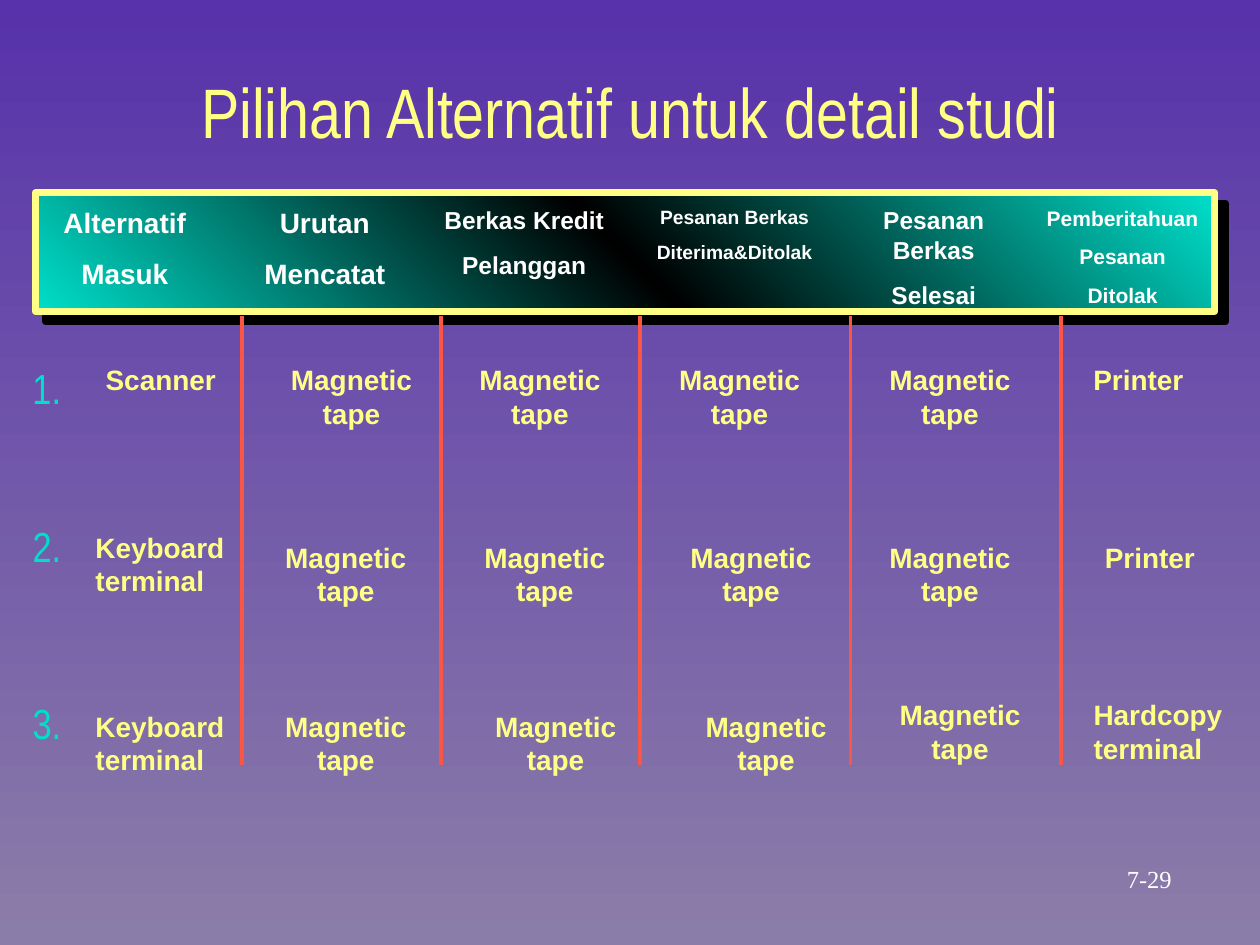
"""Builds the slide that compares three processing alternatives by file and device."""
from copy import deepcopy

from lxml import etree
from pptx import Presentation
from pptx import util as u
from pptx.dml import color
from pptx.enum import shapes, text
from pptx.oxml import ns

Pt = u.Pt
HEX = {"top": "5732AA", "bottom": "8B7DA9", "teal": "00DFCA", "black": "000000",
       "yellow": "FFFF85", "red": "F95645", "white": "FFFFFF"}
RGB = {name: color.RGBColor.from_string(value) for name, value in HEX.items()}
LEFT, CENTER = text.PP_ALIGN.LEFT, text.PP_ALIGN.CENTER


def write(frame, content, size=16, font="Arial", ink="yellow", bold=True, align=CENTER,
          anchor=text.MSO_ANCHOR.TOP, fit=text.MSO_AUTO_SIZE.SHAPE_TO_FIT_TEXT, wrap=True):
    frame.word_wrap = wrap
    frame.auto_size = fit
    frame.vertical_anchor = anchor
    frame.text = content
    for index, line in enumerate(frame.paragraphs):
        line.alignment = align
        line.space_before = Pt(round(size * 0.625, 1) if index else 0)
        for run in line.runs:
            run.font.size = Pt(size)
            run.font.name = font
            run.font.bold = bold
            run.font.color.rgb = RGB[ink]


def add_text(left, top, width, height, content, **style):
    box = slide.shapes.add_textbox(Pt(left), Pt(top), Pt(width), Pt(height))
    write(box.text_frame, content, **style)


deck = Presentation()
deck.slide_width, deck.slide_height = Pt(720), Pt(540)
slide = deck.slides.add_slide(deck.slide_layouts[5])

backdrop = slide.background.fill
backdrop.gradient()
backdrop.gradient_angle = 270
for stop, name, place in zip(backdrop.gradient_stops, ("top", "bottom"), (0, 1)):
    stop.color.rgb = RGB[name]
    stop.position = place

header = slide.shapes.add_shape(shapes.MSO_SHAPE.RECTANGLE, Pt(20.2), Pt(110.2), Pt(674), Pt(67.7))
header.fill.gradient()
header.fill.gradient_angle = 45
stop_list = header._element.xpath(".//a:gsLst")[0]
stop_list.append(deepcopy(stop_list[0]))
for stop, name, place in zip(header.fill.gradient_stops, ("teal", "black", "teal"), (0, 0.5, 1)):
    stop.color.rgb = RGB[name]
    stop.position = place
header.line.color.rgb = RGB["yellow"]
header.line.width = Pt(4)
header.shadow.inherit = False
effects = header._element.spPr.find(ns.qn("a:effectLst"))
shade = etree.SubElement(effects, ns.qn("a:outerShdw"), dist=str(Pt(8.5)), dir="2700000",
                         algn="tl", rotWithShape="0")
etree.SubElement(shade, ns.qn("a:srgbClr"), val=HEX["black"])

title = slide.shapes.title
title.left, title.top, title.width, title.height = Pt(18), Pt(12.2), Pt(684), Pt(102.2)
write(title.text_frame, "Pilihan Alternatif untuk detail studi", size=40, font="Arial Narrow",
      bold=False, anchor=text.MSO_ANCHOR.MIDDLE, fit=text.MSO_AUTO_SIZE.NONE)

headings = [
    (17.3, 84, 16, "Alternatif\nMasuk"),
    (131.6, 84, 16, "Urutan\nMencatat"),
    (245.6, 75, 14, "Berkas Kredit\nPelanggan"),
    (365.8, 40, 11, "Pesanan Berkas\nDiterima&Ditolak"),
    (479.6, 91.4, 14, "Pesanan Berkas\nSelesai"),
    (587.5, 65.5, 12, "Pemberitahuan\nPesanan\nDitolak"),
]
for left, height, size, heading in headings:
    add_text(left, 113.8, 108, height, heading, size=size, ink="white")

for x in (138.2, 252, 365.8, 486, 606.2):
    divider = slide.shapes.add_connector(shapes.MSO_CONNECTOR.STRAIGHT, Pt(x), Pt(180.7), Pt(x), Pt(437))
    divider.line.color.rgb = RGB["red"]
    divider.line.width = Pt(2)
    etree.SubElement(divider._element.spPr, ns.qn("a:effectLst"))

for number, top, width, height in (("1.", 203.8, 31, 64.8), ("2.", 293.8, 36.7, 36),
                                   ("3.", 395.3, 36.7, 36)):
    add_text(11.5, top, width, height, number, size=24, font="Arial Narrow", ink="teal",
             bold=False, align=LEFT)

tape, keyboard, hardcopy = "Magnetic tape", "Keyboard terminal", "Hardcopy terminal"
alternatives = [
    [("Scanner", 53.3, 203.8, 78.5, 26), (tape, 155.5, 203.8, 90.7, 45.4),
     (tape, 263.5, 203.8, 90, 75), (tape, 377.3, 203.8, 90.7, 45.4),
     (tape, 497.5, 203.8, 90.7, 45.4), ("Printer", 611.3, 203.8, 78.5, 26)],
    [(keyboard, 47.5, 299.5, 90.7, 45.4), (tape, 155.5, 305.3, 84.2, 45.4),
     (tape, 269.3, 305.3, 84.2, 75), (tape, 383.8, 305.3, 90.7, 45.4),
     (tape, 497.5, 305.3, 90.7, 45.4), ("Printer", 617.8, 305.3, 78.5, 26)],
    [(keyboard, 47.5, 401.8, 90.7, 45.4), (tape, 155.5, 401.8, 84.2, 45.4),
     (tape, 269.3, 401.8, 96.5, 75), (tape, 389.5, 401.8, 96.5, 75),
     (tape, 503.3, 395.3, 90.7, 45.4), (hardcopy, 617.8, 395.3, 90.7, 45.4)],
]
for alternative in alternatives:
    for medium, left, top, width, height in alternative:
        add_text(left, top, width, height, medium,
                 align=CENTER if medium in (tape, "Printer") else LEFT)

add_text(614.2, 489.6, 85, 24.5, "7-29", size=14, font="Times New Roman", ink="white",
         bold=False, anchor=text.MSO_ANCHOR.MIDDLE, wrap=False)

deck.save("out.pptx")
